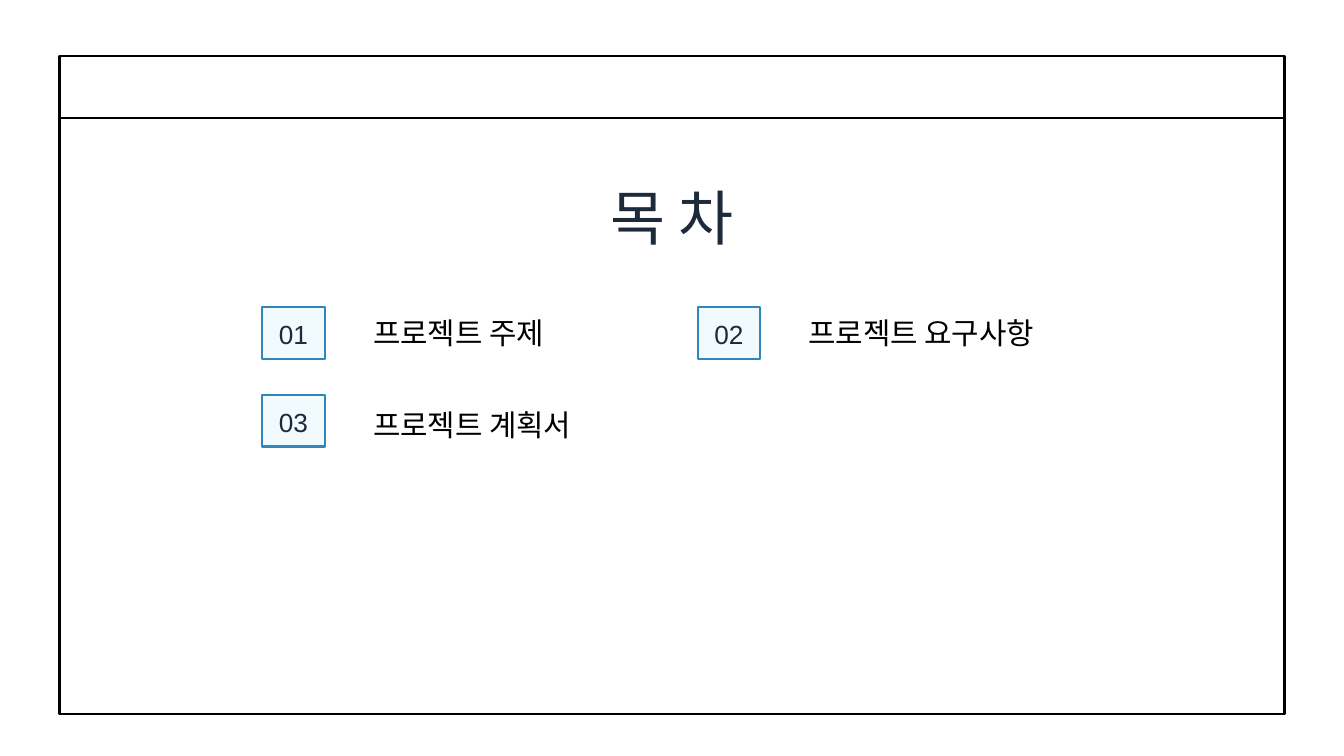
from dataclasses import dataclass

from pptx import Presentation
from pptx.dml.color import RGBColor
from pptx.enum.shapes import MSO_CONNECTOR, MSO_SHAPE
from pptx.enum.text import MSO_AUTO_SIZE, PP_ALIGN
from pptx.oxml.ns import qn
from pptx.util import Inches, Pt

TITLE = "목 차"
# number, label, grid column, grid row
CHAPTERS = [
    ("01", "프로젝트 주제", 0, 0),
    ("02", "프로젝트 요구사항", 1, 0),
    ("03", "프로젝트 계획서", 0, 1),
]


@dataclass(frozen=True)
class Theme:
    font: str = "Arial"
    white: str = "FFFFFF"
    black: str = "000000"
    navy: str = "1D2A3A"
    blue: str = "3087BB"
    pale: str = "F1FAFF"
    line: float = 1.5
    title: float = 42.7
    label: float = 21.3
    number: float = 18.7


THEME = Theme()
SLIDE_W, SLIDE_H = 13.33, 7.5
FRAME = (0.59, 0.56, 12.15, 6.52)
HEADER_H = 0.61
TITLE_W, TITLE_H, TITLE_TOP = 4.08, 0.84, 1.68
GRID_LEFT, GRID_TOP = 2.6, 3.05
COL_PITCH, ROW_PITCH = 4.32, 0.87
BADGE_W, BADGE_H = 0.62, 0.51
NUMBER_W, NUMBER_H, NUMBER_DROP = 0.86, 0.31, 0.11
LABEL_W, LABEL_H, LABEL_GAP = 2.83, 0.36, 1.1
LABEL_DROPS = (0.07, 0.11)  # one for each grid row


def add_text(slide, text, box, *, size, color, spacing, align=PP_ALIGN.LEFT):
    tf = slide.shapes.add_textbox(*map(Inches, box)).text_frame
    tf.word_wrap = True
    tf.auto_size = MSO_AUTO_SIZE.SHAPE_TO_FIT_TEXT
    tf.margin_left = tf.margin_top = tf.margin_right = tf.margin_bottom = 0
    p = tf.paragraphs[0]
    p.alignment = align
    p.line_spacing = Pt(spacing)
    r = p.add_run()
    r.text = text
    r.font.name = THEME.font
    r.font.size = Pt(size)
    r.font.color.rgb = RGBColor.from_string(color)


def style_line(line, color):
    line.color.rgb = RGBColor.from_string(color)
    line.width = Pt(THEME.line)


def add_box(slide, box, fill, line):
    sp = slide.shapes.add_shape(MSO_SHAPE.RECTANGLE, *map(Inches, box))
    sp.shadow.inherit = False
    sp.fill.solid()
    sp.fill.fore_color.rgb = RGBColor.from_string(fill)
    style_line(sp.line, line)


def add_frame(slide):
    """Draw the window outline and the line under its header bar."""
    left, top, width, _ = FRAME
    add_box(slide, FRAME, THEME.white, THEME.black)
    y = top + HEADER_H
    ends = map(Inches, (left, y, left + width, y))
    divider = slide.shapes.add_connector(MSO_CONNECTOR.STRAIGHT, *ends)
    style_line(divider.line, THEME.black)
    sp_pr = divider._element.spPr
    sp_pr.append(sp_pr.makeelement(qn("a:effectLst"), {}))


def add_chapter(slide, number, label, col, row):
    x = GRID_LEFT + col * COL_PITCH
    y = GRID_TOP + row * ROW_PITCH
    add_box(slide, (x, y, BADGE_W, BADGE_H), THEME.pale, THEME.blue)
    number_x = x + (BADGE_W - NUMBER_W) / 2
    add_text(slide, number, (number_x, y + NUMBER_DROP, NUMBER_W, NUMBER_H),
             size=THEME.number, color=THEME.navy, spacing=22.4,
             align=PP_ALIGN.CENTER)
    label_y = y + LABEL_DROPS[row]
    add_text(slide, label, (x + LABEL_GAP, label_y, LABEL_W, LABEL_H),
             size=THEME.label, color=THEME.black, spacing=25.6)


def main():
    prs = Presentation()
    prs.slide_width, prs.slide_height = Inches(SLIDE_W), Inches(SLIDE_H)
    slide = prs.slides.add_slide(prs.slide_layouts[6])
    add_frame(slide)
    title_x = (SLIDE_W - TITLE_W) / 2
    add_text(slide, TITLE, (title_x, TITLE_TOP, TITLE_W, TITLE_H),
             size=THEME.title, color=THEME.navy, spacing=59.7,
             align=PP_ALIGN.CENTER)
    for chapter in CHAPTERS:
        add_chapter(slide, *chapter)
    prs.save("out.pptx")


if __name__ == "__main__":
    main()
